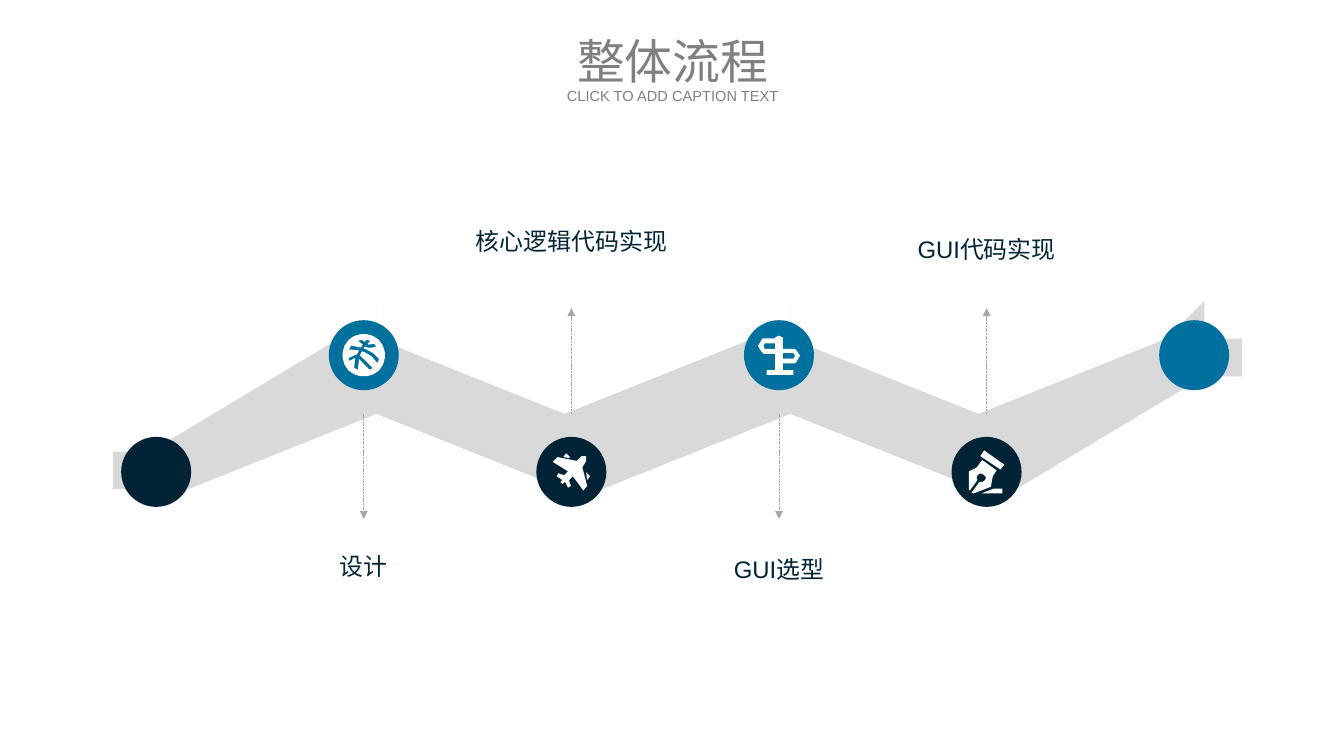
from dataclasses import dataclass
from math import atan2, cos, pi, sin

from lxml.etree import SubElement
from pptx import Presentation
from pptx.dml.color import RGBColor
from pptx.enum.dml import MSO_LINE
from pptx.enum.shapes import MSO_CONNECTOR, MSO_SHAPE
from pptx.enum.text import MSO_ANCHOR, MSO_AUTO_SIZE, PP_ALIGN
from pptx.oxml.ns import qn
from pptx.util import Cm, Pt


@dataclass(frozen=True)
class Theme:
    navy: str = "002436"
    blue: str = "00709F"
    band: str = "D9D9D9"
    arrow: str = "A6A6A6"
    grey: str = "808080"
    white: str = "FFFFFF"
    font: str = "Arial"
    head: int = 36
    label: int = 18
    note: int = 11


THEME = Theme()
UNIT = Cm(2.54) / 100  # icon grid step


def arc(x, y, r, start, end, count=24):
    """Points along an arc, angles in radians."""
    turns = [start + (end - start) * k / count for k in range(count + 1)]
    return [(x + r * cos(t), y + r * sin(t)) for t in turns]


# Icon contours in grid steps
BALL = [
    arc(22, 22, 22, 0, 2 * pi, 40),
    [(9, 12), (7, 15), (7, 16), (17, 17), (16, 19), (15, 21), (6, 25), (7, 28),
     (13, 25), (12, 35), (15, 37), (16, 37), (17, 26), (22, 31), (28, 37),
     (31, 36), (31, 35), (25, 29), (18, 22), (19, 20), (20, 18), (23, 19),
     (30, 23), (36, 30), (37, 29), (38, 26), (32, 20), (25, 16), (22, 15),
     (23, 13), (26, 14), (31, 14), (35, 13), (33, 10), (27, 11), (26, 10),
     (29, 7), (25, 6), (23, 8), (20, 6), (16, 7), (21, 11), (19, 14)],
]
PLANE = [
    [(35, 3), (35, 8), (32, 13), (31, 15), (36, 34), (32, 39), (21, 24),
     (17, 28), (19, 34), (16, 36), (13, 30), (10, 32), (8, 30), (10, 28),
     (4, 24), (6, 21), (12, 23), (16, 19), (0, 9), (5, 4), (25, 8), (30, 3)],
    [(39, 24), (35, 20), (36, 28)],
    [(14, 0), (11, 4), (17, 5), (18, 4)],
]
SIGN = [
    [(26, 14), (38, 14), (40, 15), (44, 21), (40, 28), (38, 29), (26, 29),
     (26, 36), (37, 36), (37, 41), (9, 41), (9, 36), (18, 36), (18, 19),
     (6, 19), (4, 17), (0, 11), (4, 4), (5, 3), (18, 3), (18, 2), (22, 0),
     (26, 2)],
    [(18, 8), (7, 8), (6, 11), (7, 14), (18, 14)],
    [(37, 18), (26, 18), (26, 24), (37, 24), (39, 21)],
]
PEN = [
    [(1, 42), (0, 41), (0, 22), (8, 18), (14, 10), (29, 21), (25, 27),
     (23, 38), (5, 45), (3, 44), (11, 33), (14, 33), (17, 31), (18, 28),
     (15, 25), (12, 24), (9, 26), (8, 29), (9, 31)],
    [(13, 45), (35, 45), (35, 40), (26, 40)],
    [(33, 20), (37, 15), (16, 0), (12, 6)],
]

# Label, icon, label top and label width for each inner node
STEPS = [
    ("设计", BALL, 14.38, 1.9),
    ("核心逻辑代码实现", PLANE, 5.74, 5.8),
    ("GUI选型", SIGN, 14.45, 2.9),
    ("GUI代码实现", PEN, 5.97, 4.17),
]


def apply(item, form):
    for name, value in form.items():
        setattr(item, name, value)


def paint(shape, color):
    shape.shadow.inherit = False
    shape.fill.solid()
    shape.fill.fore_color.rgb = RGBColor.from_string(color)
    shape.line.fill.background()


def write(shape, text, size, color, frame, para):
    """Fill a text shape with one formatted paragraph."""
    apply(shape.text_frame, frame)
    line = shape.text_frame.paragraphs[0]
    line.text = text
    apply(line, {"alignment": PP_ALIGN.CENTER, **para})
    font = line.runs[0].font
    apply(font, {"size": Pt(size), "name": THEME.font})
    font.color.rgb = RGBColor.from_string(color)


def trace(slide, rings, left, top, scale, color):
    """Draw closed contours as one freeform."""
    pen = slide.shapes.build_freeform(*rings[0][0], scale=scale)
    pen.add_line_segments(rings[0][1:])
    for ring in rings[1:]:
        pen.move_to(*ring[0])
        pen.add_line_segments(ring[1:])
    paint(pen.convert_to_shape(left, top), color)


def title(slide, box):
    x, y, w, h = box
    rows = [
        (slide.shapes.title, "整体流程", THEME.head, y, h),
        (slide.placeholders[1], "CLICK TO ADD CAPTION TEXT", THEME.note,
         y + 1.45, 0.48),
    ]
    frame = {"word_wrap": True, "auto_size": MSO_AUTO_SIZE.NONE,
             "vertical_anchor": MSO_ANCHOR.MIDDLE, "margin_left": 0,
             "margin_right": 0, "margin_top": 0, "margin_bottom": 0}
    for shape, text, size, top, tall in rows:
        apply(shape, {"left": Cm(x), "top": Cm(top),
                      "width": Cm(w), "height": Cm(tall)})
        write(shape, text, size, THEME.grey, frame, {"space_before": Pt(0)})


def band(slide, nodes, r):
    """Zigzag ribbon with round ends and round outer bends."""
    (xa, ya), (xb, yb) = nodes[:2]
    tilt = atan2(ya - yb, xb - xa)
    inner = r / cos(tilt)
    up, down = -pi / 2, pi / 2
    ring = arc(xa, ya, r, down - tilt, 3 * pi / 2 - tilt)
    for x, y in nodes[1:-1]:
        ring += arc(x, y, r, up - tilt, up + tilt) if y == yb else [(x, y - inner)]
    ring += arc(*nodes[-1], r, up - tilt, down - tilt)
    for x, y in nodes[-2:0:-1]:
        ring += arc(x, y, r, down - tilt, down + tilt) if y == ya else [(x, y + inner)]
    trace(slide, [ring], 0, 0, Cm(1), THEME.band)


def icon(slide, rings, x, y):
    wide, tall = (max(p[k] for ring in rings for p in ring) for k in (0, 1))
    trace(slide, rings, Cm(x) - int(wide * UNIT / 2),
          Cm(y) - int(tall * UNIT / 2), UNIT, THEME.white)


def arrow(slide, x, start, end):
    link = slide.shapes.add_connector(
        MSO_CONNECTOR.STRAIGHT, Cm(x), Cm(start), Cm(x), Cm(end))
    link.line.color.rgb = RGBColor.from_string(THEME.arrow)
    apply(link.line, {"width": Pt(0.5), "dash_style": MSO_LINE.SQUARE_DOT})
    SubElement(link.line._get_or_add_ln(), qn("a:tailEnd"), type="triangle")
    SubElement(link._element.spPr, qn("a:effectLst"))


def label(slide, text, x, top, wide):
    shape = slide.shapes.add_textbox(
        Cm(x - wide / 2), Cm(top), Cm(wide), Cm(1.17))
    write(shape, text, THEME.label, THEME.navy,
          {"word_wrap": True, "auto_size": MSO_AUTO_SIZE.SHAPE_TO_FIT_TEXT},
          {"line_spacing": 1.2})


def flow(slide, box):
    x, y, w, h = box
    gap = w / (len(STEPS) + 1)
    nodes = [(x + k * gap, y if k % 2 else y + h) for k in range(len(STEPS) + 2)]
    r = 0.93
    band(slide, nodes, r + 0.02)

    # Discs
    for k, (cx, cy) in enumerate(nodes):
        disc = slide.shapes.add_shape(
            MSO_SHAPE.OVAL, Cm(cx - r), Cm(cy - r), Cm(2 * r), Cm(2 * r))
        paint(disc, THEME.blue if k % 2 else THEME.navy)

    # Icons, arrows and labels
    mid = y + h / 2
    for (cx, cy), (text, rings, top, wide) in zip(nodes[1:], STEPS):
        icon(slide, rings, cx, cy)
        arrow(slide, cx, mid, mid + (2.8 if cy < mid else -2.8))
        label(slide, text, cx, top, wide)


def main():
    deck = Presentation()
    apply(deck, {"slide_width": Cm(35.71), "slide_height": Cm(20.09)})
    slide = deck.slides.add_slide(deck.slide_layouts[0])
    title(slide, (14.66, 0.84, 6.43, 1.55))
    flow(slide, (4.15, 9.44, 27.58, 3.1))
    deck.save("out.pptx")


if __name__ == "__main__":
    main()
